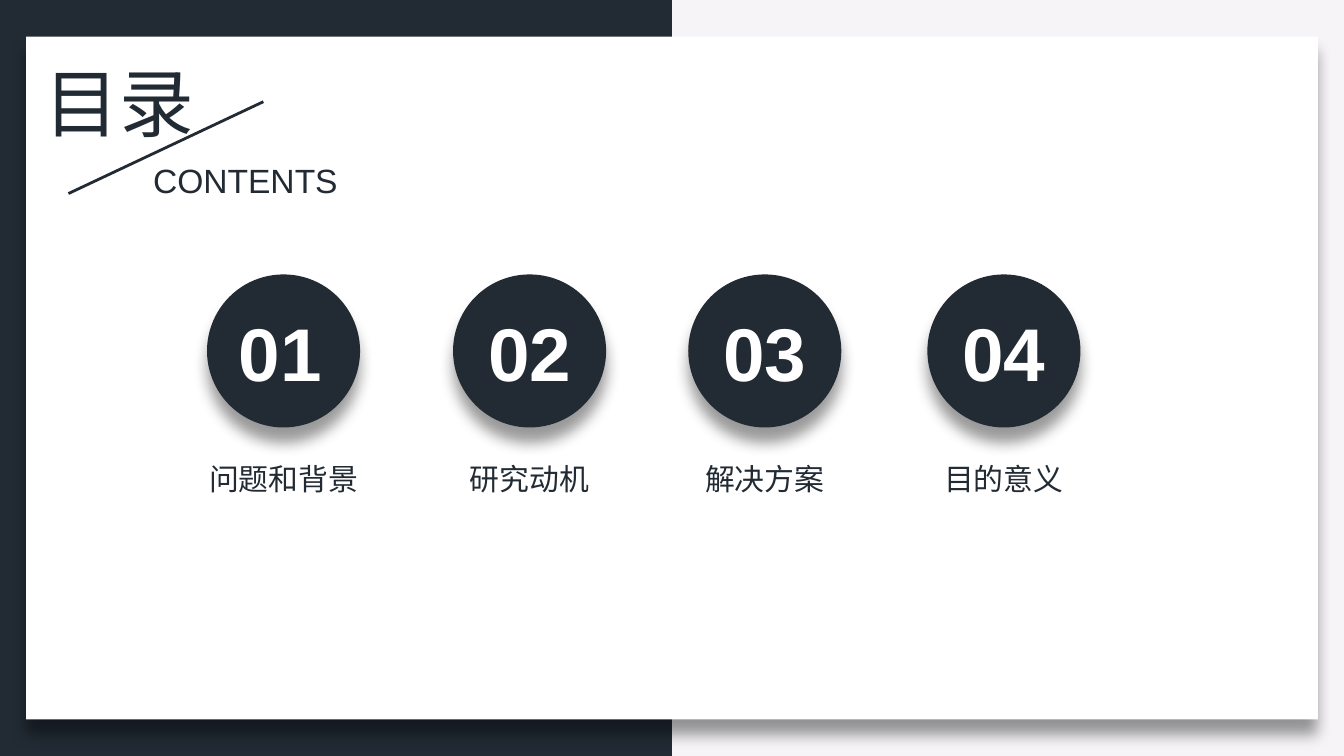
from lxml import etree
from pptx import Presentation
from pptx.dml.color import RGBColor
from pptx.enum.shapes import MSO_CONNECTOR, MSO_SHAPE
from pptx.enum.text import MSO_ANCHOR, MSO_AUTO_SIZE, PP_ALIGN
from pptx.oxml.ns import qn
from pptx.util import Pt

RECT, OVAL = MSO_SHAPE.RECTANGLE, MSO_SHAPE.OVAL
LINE = MSO_CONNECTOR.STRAIGHT
LEFT, CENTER = PP_ALIGN.LEFT, PP_ALIGN.CENTER
TOP = MSO_ANCHOR.TOP
GROW = MSO_AUTO_SIZE.SHAPE_TO_FIT_TEXT

COLORS = {"dark": "222B34", "pale": "F6F4F7", "white": "FFFFFF",
          "shadow": "000000"}
HAN = "Noto Sans CJK SC"
WIDTH, HEIGHT = 720, 405
DISC = 82
# Heading, disc centre, shift of the number from that centre
ITEMS = [("问题和背景", 151.9, -1.8), ("研究动机", 283.7, 0),
         ("解决方案", 409.7, 0), ("目的意义", 537.8, 0)]


def color(name):
    return RGBColor.from_string(COLORS[name])


def add_shadow(shape):
    """Soft shadow cast straight down."""
    effects = etree.SubElement(shape._element.spPr, qn("a:effectLst"))
    outer = etree.SubElement(
        effects, qn("a:outerShdw"), blurRad=str(Pt(8)), dist=str(Pt(8)),
        dir="5400000", algn="t", rotWithShape="0")
    tint = etree.SubElement(outer, qn("a:srgbClr"), val=COLORS["shadow"])
    etree.SubElement(tint, qn("a:alpha"), val="40000")


def add_block(slide, kind, box, fill, raised=True):
    shape = slide.shapes.add_shape(kind, *map(Pt, box))
    shape.fill.solid()
    shape.fill.fore_color.rgb = color(fill)
    shape.line.fill.background()
    if raised:
        add_shadow(shape)
    else:
        shape.shadow.inherit = False


def set_text(shape, box, text, size, font, ink="dark", align=LEFT, bold=False):
    shape.left, shape.top, shape.width, shape.height = map(Pt, box)
    frame = shape.text_frame
    frame.text = text
    frame.word_wrap = False
    frame.auto_size = GROW
    frame.vertical_anchor = TOP
    para = frame.paragraphs[0]
    para.alignment = align
    face = para.runs[0].font
    face.name, face.size, face.bold = font, Pt(size), bold
    face.color.rgb = color(ink)
    etree.SubElement(face._element, qn("a:ea"), typeface=HAN)


def add_text(slide, box, *args, **style):
    shape = slide.shapes.add_textbox(*map(Pt, box))
    set_text(shape, box, *args, **style)


def add_title(slide):
    title = slide.shapes.title
    slide.shapes._spTree.append(title._element)  # in front of the panel
    set_text(title, (16.6, 26.6, 95, 55.4), "目录", 40, "Calibri")


def add_slash(slide):
    line = slide.shapes.add_connector(
        LINE, Pt(141.1), Pt(54.5), Pt(36.7), Pt(103.7))
    line.line.color.rgb = color("dark")
    line.line.width = Pt(1.5)
    etree.SubElement(line._element.spPr, qn("a:effectLst"))


def add_item(slide, num, label, mid, shift):
    add_block(slide, OVAL, (mid - DISC / 2, 147, DISC, DISC), "dark")
    wide = 20 * len(label)
    add_text(slide, (mid - wide / 2, 243.4, wide, 26.6), label, 16, HAN,
             align=CENTER)
    add_text(slide, (mid + shift - 30, 160.6, 60, 55.4), f"{num:02}", 40,
             "Arial", ink="white", align=CENTER, bold=True)


def main():
    deck = Presentation()
    deck.slide_width, deck.slide_height = Pt(WIDTH), Pt(HEIGHT)
    slide = deck.slides.add_slide(deck.slide_layouts[5])
    back = slide.background.fill
    back.solid()
    back.fore_color.rgb = color("pale")
    add_block(slide, RECT, (0, 0, WIDTH / 2, HEIGHT), "dark", raised=False)
    add_block(slide, RECT, (14, 19.6, 692, 365.8), "white")
    add_title(slide)
    add_slash(slide)
    add_text(slide, (74.9, 82.1, 114.5, 28.8), "CONTENTS", 18, "Arial")
    for num, item in enumerate(ITEMS, 1):
        add_item(slide, num, *item)
    deck.save("out.pptx")


if __name__ == "__main__":
    main()
